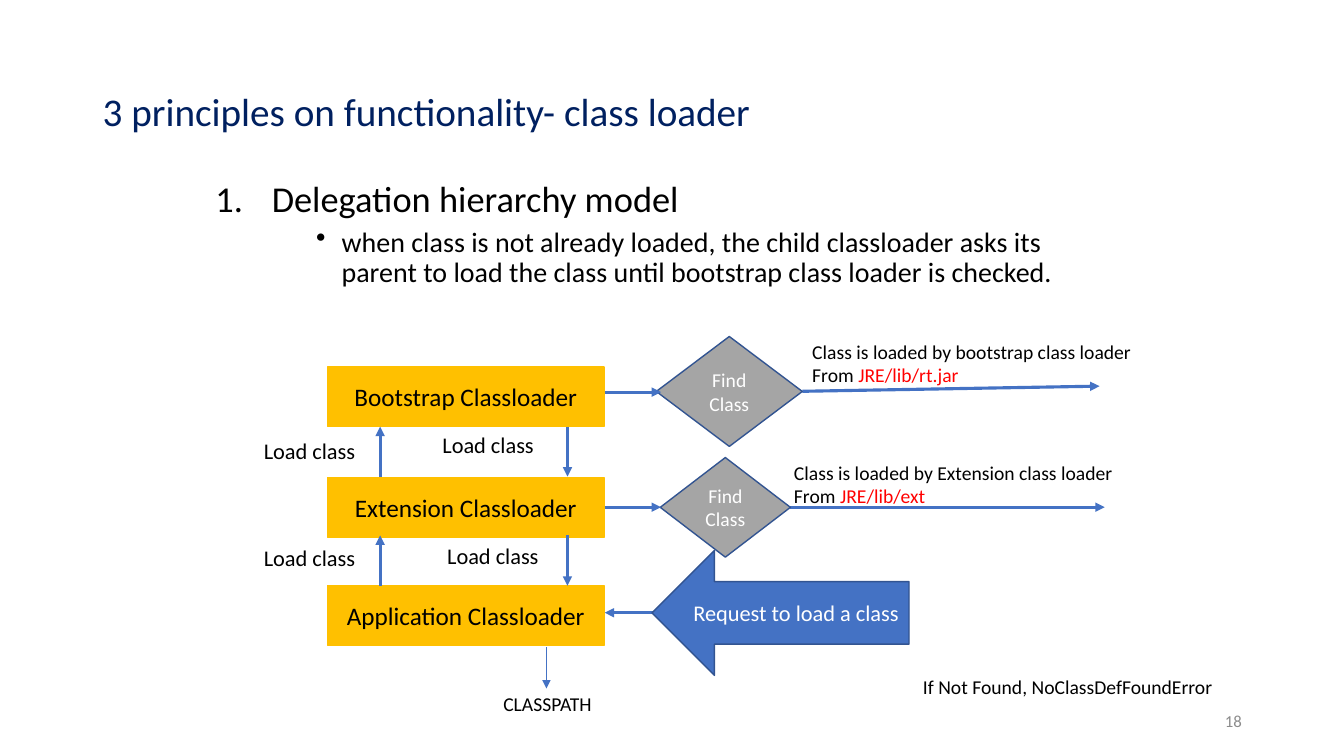
from dataclasses import dataclass
from lxml.etree import SubElement as Sub
from pptx import Presentation
from pptx.dml.color import RGBColor as Rgb
from pptx.enum.shapes import MSO_CONNECTOR as Link, MSO_SHAPE as Form
from pptx.enum.text import MSO_ANCHOR as Anchor, PP_ALIGN as Align
from pptx.oxml.ns import qn
from pptx.util import Cm, Pt


@dataclass(frozen=True)
class Theme:
    font: str = "Calibri"
    navy: str = "002060"
    black: str = "000000"
    white: str = "FFFFFF"
    red: str = "FF0000"
    blue: str = "4472C4"
    edge: str = "325491"
    gold: str = "FFC000"
    gray: str = "A5A5A5"
    pale: str = "8C8C8C"
    title: int = 28
    head: int = 26
    body: int = 20
    box: int = 18
    label: int = 16
    note: int = 14
    foot: int = 12


def put(item, form):
    for name, value in form.items():
        setattr(item, name, value)


class Sketch:
    def __init__(self, slide, theme):
        self.slide, self.theme = slide, theme

    def words(self, para, runs, size, color, **form):
        """Fill a paragraph; each run is text or (text, format)."""
        put(para, form)
        for part in runs:
            text, own = (part, {}) if isinstance(part, str) else part
            run = para.add_run()
            run.text = text
            look = {"name": self.theme.font, "size": Pt(own.get("size", size))}
            put(run.font, look)
            run.font.color.rgb = Rgb.from_string(own.get("color", color))

    def text(self, spot, lines, size, color=None, anchor=Anchor.TOP, **form):
        frame = self.slide.shapes.add_textbox(*map(Cm, spot)).text_frame
        put(frame, {"word_wrap": True, "vertical_anchor": anchor})
        for i, runs in enumerate(lines):
            para = frame.add_paragraph() if i else frame.paragraphs[0]
            self.words(para, runs, size, color or self.theme.black, **form)
        return frame

    def shape(self, kind, spot, text, size, fill, edge, color):
        item = self.slide.shapes.add_shape(kind, *map(Cm, spot))
        item.shadow.inherit = False
        item.fill.solid()
        item.fill.fore_color.rgb = Rgb.from_string(fill)
        item.line.color.rgb = Rgb.from_string(edge)
        item.line.width = Pt(1)
        put(item.text_frame, {"word_wrap": True, "vertical_anchor": Anchor.MIDDLE})
        self.words(item.text_frame.paragraphs[0], [text], size, color,
                   alignment=Align.CENTER)

    def arrow(self, start, end, width=2.25):
        ends = map(Cm, (*start, *end))
        item = self.slide.shapes.add_connector(Link.STRAIGHT, *ends)
        item.line.color.rgb = Rgb.from_string(self.theme.blue)
        item.line.width = Pt(width)
        props = item._element.spPr
        Sub(props.find(qn("a:ln")), qn("a:tailEnd"), type="triangle")
        Sub(props, qn("a:effectLst"))

    def bullet(self, para, left, hang, tag, **mark):
        props = para._p.get_or_add_pPr()
        props.set("marL", str(Cm(left)))
        props.set("indent", str(-Cm(hang)))
        Sub(props, qn(tag), **mark)


def main():
    deck = Presentation()
    put(deck, {"slide_width": Cm(33.87), "slide_height": Cm(19.05)})
    look = Theme()
    art = Sketch(deck.slides.add_slide(deck.slide_layouts[6]), look)

    # Title and principle
    art.text((2.34, 1.02, 29.21, 3.68),
             [["3 principles on functionality- class loader"]],
             look.title, look.navy, Anchor.MIDDLE, line_spacing=0.9)
    body = art.text((5.18, 4.45, 22.86, 3.2), [["Delegation hierarchy model"]],
                    look.head, line_spacing=0.9, space_before=Pt(10))
    art.bullet(body.paragraphs[0], 1.42, 1.42, "a:buAutoNum", type="arabicPeriod")
    para = body.add_paragraph()
    art.words(para, ["when class is not already loaded, the child classloader asks "
                     "its parent to load the class until bootstrap class loader "
                     "is checked."],
              look.body, look.black, level=2, line_spacing=0.9, space_before=Pt(5))
    art.bullet(para, 3.18, 0.64, "a:buChar", char="•")

    # Request
    art.arrow((16.66, 15.44), (15.24, 15.44))
    art.shape(Form.LEFT_ARROW, (16.43, 13.87, 6.48, 3.15), "Request to load a class",
              look.label, look.blue, look.edge, look.white)

    # Checks and their results
    checks = [
        ((16.54, 8.48, 3.68, 2.77), (20.22, 9.86), (27.71, 9.73),
         (20.22, 8.43, 11, 2.06), "bootstrap", "JRE/lib/rt.jar"),
        ((16.64, 11.53, 3.28, 2.51), (19.91, 12.78), (27.84, 12.78),
         (19.76, 11.48, 11, 1.45), "Extension", "JRE/lib/ext"),
    ]
    for spot, start, end, place, name, source in checks:
        art.arrow(start, end)
        art.shape(Form.FLOWCHART_DECISION, spot, "Find Class",
                  look.note, look.gray, look.edge, look.white)
        art.text(place, [[f"Class is loaded by {name} class loader"],
                         ["From ", (source, {"color": look.red})]], look.note)

    # Loader boxes
    loaders = {"Bootstrap": 9.25, "Extension": 12.04, "Application": 14.76}
    for name, top in loaders.items():
        art.shape(Form.RECTANGLE, (8.26, top, 6.96, 1.5), f"{name} Classloader",
                  look.box, look.gold, look.gold, look.black)
    for y in (9.88, 12.78):
        art.arrow((15.24, y), (16.66, y))

    # Delegation up and loading down between the boxes
    for top, end in ((10.75, 12.01), (13.49, 14.76)):
        art.arrow((9.58, end), (9.58, top))
        art.arrow((14.3, top), (14.3, end))
    for x, y in ((6.4, 10.9), (6.4, 13.59), (10.9, 10.74), (11.02, 13.54)):
        art.text((x, y, 3.3, 0.94), [["Load class"]], look.label)

    # Class path and footer
    art.arrow((13.77, 16.31), (13.77, 17.35), 0.5)
    art.text((12.29, 17.17, 10, 1.02),
             [[(" ", {"size": look.box}), "CLASSPATH"]], look.note)
    art.text((23.93, 17.65, 7.62, 1.02), [["18"]], look.foot, look.pale,
             Anchor.MIDDLE, alignment=Align.RIGHT)
    art.text((23.01, 16.89, 10, 0.86),
             [["If Not Found, NoClassDefFoundError"]], look.note)

    deck.save("out.pptx")


if __name__ == "__main__":
    main()
